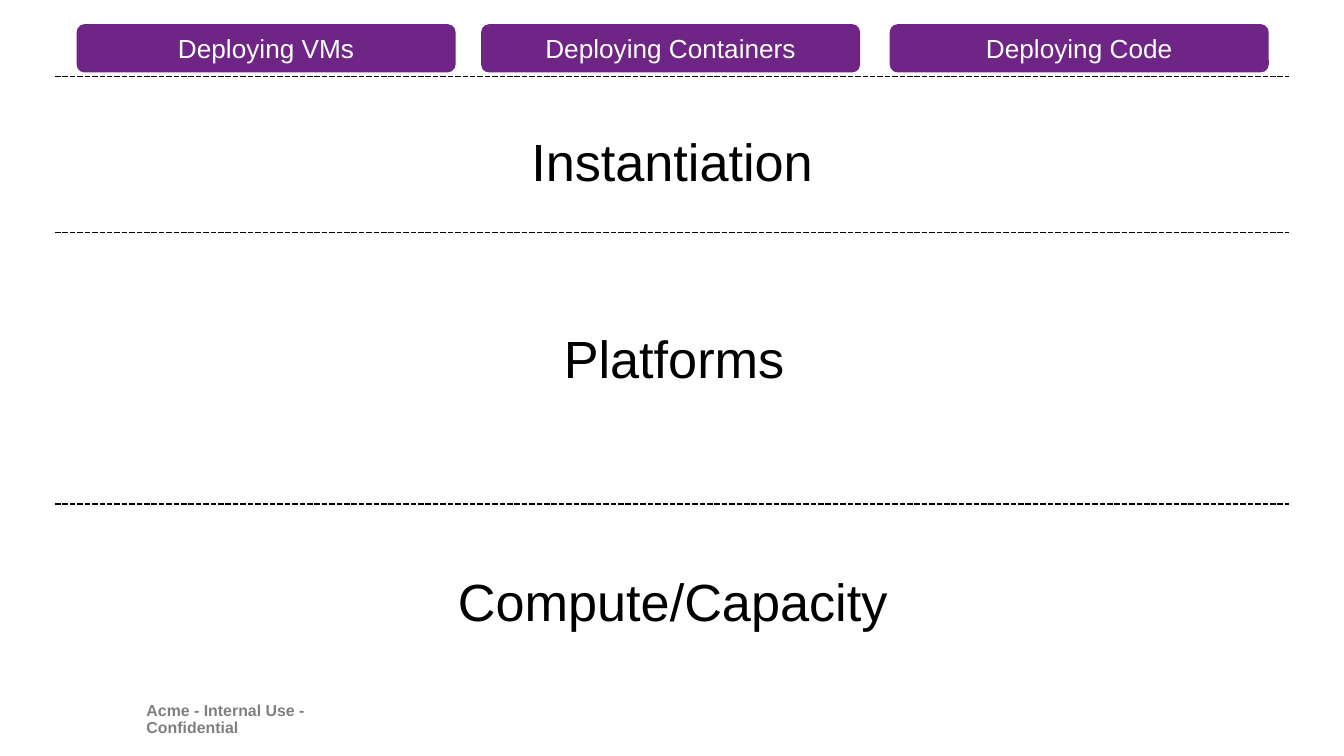
import pptx
import pptx.dml.color
import pptx.enum.dml
import pptx.enum.shapes
import pptx.enum.text
import pptx.oxml.ns
import pptx.util
from lxml import etree
from pptx.util import Inches

ALIGN = pptx.enum.text.PP_ALIGN
ANCHOR = pptx.enum.text.MSO_ANCHOR
FIT = pptx.enum.text.MSO_AUTO_SIZE.SHAPE_TO_FIT_TEXT
BLACK, WHITE, GREY, PURPLE = "000000", "FFFFFF", "7F7F7F", "6E2585"


def color(value):
    """Turn a hex string into a colour."""
    return pptx.dml.color.RGBColor.from_string(value)


def write(shape, text, size=28, ink=BLACK, bold=False, align=ALIGN.CENTER,
          anchor=ANCHOR.TOP, wrap=True):
    """Put one formatted paragraph into a shape and return the paragraph."""
    frame = shape.text_frame
    frame.word_wrap = wrap
    frame.vertical_anchor = anchor
    para = frame.paragraphs[0]
    para.alignment = align
    span = para.add_run()
    span.text = text
    span.font.name = "Arial"
    span.font.size = pptx.util.Pt(size)
    span.font.bold = bold
    span.font.color.rgb = color(ink)
    return para


def add_divider(page, top):
    """Draw a dashed line across the page."""
    line = page.shapes.add_connector(
        pptx.enum.shapes.MSO_CONNECTOR.STRAIGHT,
        Inches(0.41), Inches(top), Inches(9.59), Inches(top))
    line.line.color.rgb = color(BLACK)
    line.line.width = pptx.util.Pt(1)
    line.line.dash_style = pptx.enum.dml.MSO_LINE.SQUARE_DOT
    etree.SubElement(line._element.spPr, pptx.oxml.ns.qn("a:effectLst"))


def add_layer(page, text, top, width):
    """Add the large centred name of a layer."""
    box = page.shapes.add_textbox(Inches(0.59), Inches(top), Inches(width), Inches(0.57))
    box.text_frame.auto_size = FIT
    write(box, text)


def add_tab(page, text, left):
    """Add a purple rounded heading."""
    tab = page.shapes.add_shape(
        pptx.enum.shapes.MSO_SHAPE.ROUNDED_RECTANGLE,
        Inches(left), Inches(0.18), Inches(2.82), Inches(0.36))
    tab.shadow.inherit = False
    tab.fill.solid()
    tab.fill.fore_color.rgb = color(PURPLE)
    tab.line.fill.background()
    write(tab, text, size=14, ink=WHITE, anchor=ANCHOR.MIDDLE)


def add_footer(page, text):
    """Add the confidentiality note at the bottom."""
    box = page.shapes.add_textbox(Inches(1.09), Inches(5.29), Inches(1.8), Inches(0.13))
    frame = box.text_frame
    frame.auto_size = FIT
    frame.margin_left = frame.margin_top = frame.margin_right = frame.margin_bottom = 0
    para = write(box, text, size=8.5, ink=GREY, bold=True, align=ALIGN.LEFT,
                 anchor=ANCHOR.MIDDLE, wrap=False)
    para.line_spacing = 0.9


def main():
    """Build the deck with its single page of layers."""
    deck = pptx.Presentation()
    deck.slide_width = Inches(10)
    deck.slide_height = deck.slide_width * 9 // 16
    page = deck.slides.add_slide(deck.slide_layouts.get_by_name("Blank"))
    add_footer(page, "Acme - Internal Use - Confidential")
    for top in (0.57, 1.73, 3.75):
        add_divider(page, top)
    layers = (("Instantiation", 0.91, 8.82), ("Platforms", 2.38, 8.85),
              ("Compute/Capacity", 4.19, 8.83))
    for text, top, width in layers:
        add_layer(page, text, top, width)
    tabs = (("Deploying VMs", 0.57), ("Deploying Containers", 3.58), ("Deploying Code", 6.62))
    for text, left in tabs:
        add_tab(page, text, left)
    deck.save("out.pptx")


if __name__ == "__main__":
    main()
